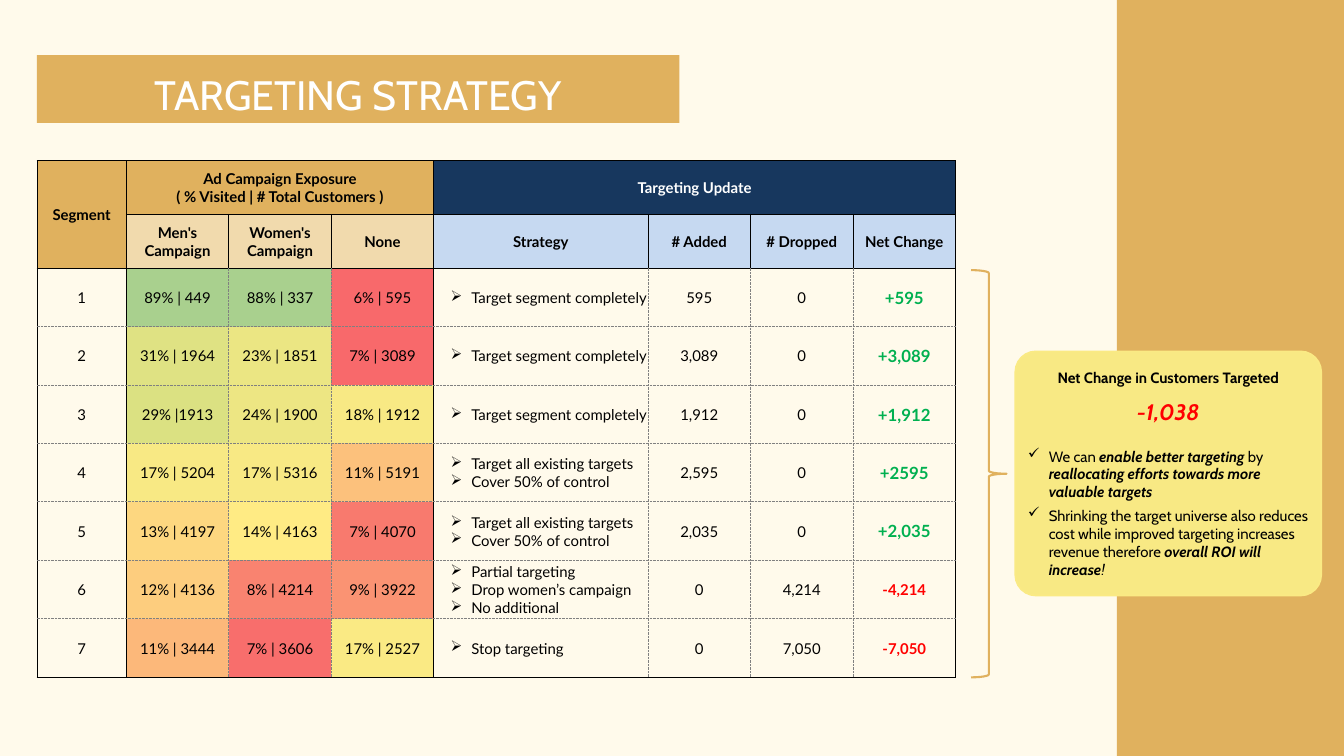
from collections import namedtuple

from lxml.etree import SubElement
from pptx import Presentation
from pptx.dml.color import RGBColor
from pptx.enum.shapes import MSO_SHAPE as Shape
from pptx.enum.text import MSO_ANCHOR as Anchor, MSO_AUTO_SIZE as AutoSize, PP_ALIGN as Align
from pptx.oxml import parse_xml
from pptx.oxml.ns import nsdecls, qn
from pptx.util import Inches, Pt

COLORS = {
    "cream": "FFFAEB", "gold": "E0B15E", "sand": "F1DAAD", "navy": "17375E",
    "sky": "C6D9F1", "yellow": "F8E984", "outline": "FAEA84", "white": "FFFFFF",
    "black": "000000", "gray": "808080", "gain": "00B050", "loss": "FF0000",
}
SLIDE_WIDTH, SLIDE_HEIGHT = Inches(20), Inches(11.25)
Box = namedtuple("Box", "left top width height")

# Segment, (text, heat colour) for each campaign, strategy, added, dropped, net change
SEGMENTS = [
    ("1", [("89% | 449", "A9D08E"), ("88% | 337", "A9D08E"), ("6% | 595", "F8696B")],
     ["Target segment completely"], "595", "0", "+595"),
    ("2", [("31% | 1964", "DFE283"), ("23% | 1851", "EBE683"), ("7% | 3089", "F8696B")],
     ["Target segment completely"], "3,089", "0", "+3,089"),
    ("3", [("29% |1913", "DBE182"), ("24% | 1900", "EDE683"), ("18% | 1912", "F8E984")],
     ["Target segment completely"], "1,912", "0", "+1,912"),
    ("4", [("17% | 5204", "F8E984"), ("17% | 5316", "F8E984"), ("11% | 5191", "FCC17C")],
     ["Target all existing targets", "Cover 50% of control"], "2,595", "0", "+2595"),
    ("5", [("13% | 4197", "FDD780"), ("14% | 4163", "FFEB84"), ("7% | 4070", "F87A6E")],
     ["Target all existing targets", "Cover 50% of control"], "2,035", "0", "+2,035"),
    ("6", [("12% | 4136", "FDCD7E"), ("8% | 4214", "F98370"), ("9% | 3922", "FA9373")],
     ["Partial targeting", "Drop women’s campaign", "No additional"], "0", "4,214", "-4,214"),
    ("7", [("11% | 3444", "FCB87A"), ("7% | 3606", "F86E6C"), ("17% | 2527", "FAEA84")],
     ["Stop targeting"], "0", "7,050", "-7,050"),
]


def percent_box(left, top, width, height):
    """Turn percentages of the slide's size into a box."""
    return Box(int(SLIDE_WIDTH * left / 100), int(SLIDE_HEIGHT * top / 100),
               int(SLIDE_WIDTH * width / 100), int(SLIDE_HEIGHT * height / 100))


def rgb(name):
    return RGBColor.from_string(COLORS.get(name, name))


def add_bullet(paragraph, character, margin, hanging):
    properties = paragraph._p.get_or_add_pPr()
    properties.set("marL", str(Inches(margin)))
    properties.set("indent", str(-Inches(hanging)))
    bullet_color = SubElement(properties, qn("a:buClr"))
    SubElement(bullet_color, qn("a:srgbClr")).set("val", COLORS["black"])
    SubElement(properties, qn("a:buChar")).set("char", character)


def write(frame, text, first=False, font="Lato", size=16, color="black", style="",
          align=Align.CENTER, after=None, line_spacing=None, bullet=None):
    """Write one paragraph; text is a string or a list of (text, style) runs."""
    paragraph = frame.paragraphs[0] if first else frame.add_paragraph()
    if bullet:
        add_bullet(paragraph, *bullet)
    paragraph.alignment = align
    if after is not None:
        paragraph.space_after = Pt(after)
    if line_spacing:
        paragraph.line_spacing = line_spacing
    for run_text, run_style in [(text, style)] if isinstance(text, str) else text:
        run = paragraph.add_run()
        run.text = run_text
        run.font.name, run.font.size = font, Pt(size)
        run.font.bold, run.font.italic = "b" in run_style, "i" in run_style
        run.font.color.rgb = rgb(color)


def add_shape(slide, kind, box, fill=None, line=None, line_width=1):
    shape = slide.shapes.add_shape(kind, *box)
    shape.shadow.inherit = False
    if fill:
        shape.fill.solid()
        shape.fill.fore_color.rgb = rgb(fill)
    else:
        shape.fill.background()
    if line:
        shape.line.color.rgb = rgb(line)
        shape.line.width = Pt(line_width)
    else:
        shape.line.fill.background()
    return shape


def add_title(slide, box):
    title = slide.shapes.title
    title.left, title.top, title.width, title.height = box
    title.fill.solid()
    title.fill.fore_color.rgb = rgb("gold")
    frame = title.text_frame
    frame.auto_size, frame.vertical_anchor = AutoSize.NONE, Anchor.MIDDLE
    frame.margin_left = frame.margin_right = Inches(0.06)
    frame.margin_top = frame.margin_bottom = Inches(0.06)
    write(frame, "TARGETING STRATEGY", first=True, font="Cabin", size=44,
          color="white", line_spacing=1.2)


def set_borders(cell, row, column):
    """Solid lines around headers and column groups, dotted lines inside them."""
    header = row < 2
    solid_sides = {"L": column in (0, 1, 4), "R": column in (0, 3, 7),
                   "T": row == 2, "B": row == len(SEGMENTS) + 1}
    properties = cell._tc.get_or_add_tcPr()
    for index, (side, solid) in enumerate(solid_sides.items()):
        color, dash = ("black", "solid") if header or solid else ("gray", "sysDot")
        properties.insert(index, parse_xml(
            f'<a:ln{side} {nsdecls("a")} w="{Pt(1)}"><a:solidFill>'
            f'<a:srgbClr val="{COLORS[color]}"/></a:solidFill>'
            f'<a:prstDash val="{dash}"/></a:ln{side}>'))


def fill_cell(cell, lines, fill=None, **text_format):
    cell.vertical_anchor = Anchor.MIDDLE
    cell.margin_left = cell.margin_right = cell.margin_top = Inches(0.01)
    cell.margin_bottom = 0
    if fill:
        cell.fill.solid()
        cell.fill.fore_color.rgb = rgb(fill)
    else:
        cell.fill.background()
    for index, line in enumerate(lines):
        write(cell.text_frame, line, first=index == 0, **text_format)


def add_segment_table(slide, box):
    row_count, column_count = len(SEGMENTS) + 2, 8
    table = slide.shapes.add_table(row_count, column_count, *box).table
    table.first_row = table.horz_banding = False

    # Column and row sizes
    segment_width, strategy_width = Inches(1.33), Inches(3.19)
    number_width = (box.width - segment_width - strategy_width) // 6
    for index, column in enumerate(table.columns):
        column.width = {0: segment_width, 4: strategy_width}.get(index, number_width)
    header_height = Inches(0.8)
    body_height = (box.height - 2 * header_height) // len(SEGMENTS)
    for index, row in enumerate(table.rows):
        row.height = header_height if index < 2 else body_height

    # Headers
    table.cell(0, 0).merge(table.cell(1, 0))
    table.cell(0, 1).merge(table.cell(0, 3))
    table.cell(0, 4).merge(table.cell(0, 7))
    fill_cell(table.cell(0, 0), ["Segment"], "gold", style="b")
    fill_cell(table.cell(0, 1), ["Ad Campaign Exposure", "( % Visited | # Total Customers )"],
              "gold", style="b")
    fill_cell(table.cell(0, 4), ["Targeting Update"], "navy", style="b", color="white")
    headings = ["Men's Campaign", "Women's Campaign", "None",
                "Strategy", "# Added", "# Dropped", "Net Change"]
    for column, heading in enumerate(headings, start=1):
        fill_cell(table.cell(1, column), [heading], "sand" if column < 4 else "sky", style="b")

    # One row for each segment
    for row, (segment, exposures, strategy, added, dropped, net) in enumerate(SEGMENTS, start=2):
        fill_cell(table.cell(row, 0), [segment])
        for column, (exposure, heat) in enumerate(exposures, start=1):
            fill_cell(table.cell(row, column), [exposure], heat)
        fill_cell(table.cell(row, 4), strategy, align=Align.LEFT, bullet=("➢", 0.55, 0.31))
        fill_cell(table.cell(row, 5), [added])
        fill_cell(table.cell(row, 6), [dropped])
        gain = net.startswith("+")
        fill_cell(table.cell(row, 7), [net], style="b", size=18 if gain else 16,
                  color="gain" if gain else "loss")

    for row in range(row_count):
        for column in range(column_count):
            set_borders(table.cell(row, column), row, column)


def add_callout(slide, box):
    callout = add_shape(slide, Shape.ROUNDED_RECTANGLE, box, "yellow", "outline", 2)
    callout.adjustments[0] = 0.084
    frame = callout.text_frame
    frame.word_wrap, frame.vertical_anchor = True, Anchor.MIDDLE
    write(frame, "Net Change in Customers Targeted", first=True, font="Cabin",
          style="b", after=12)
    write(frame, "-1,038", font="Cabin", size=24, color="loss", style="bi", after=24)
    points = [
        [("We can ", ""), ("enable better targeting ", "bi"), ("by ", ""),
         ("reallocating efforts towards more valuable targets", "bi")],
        [("Shrinking the target universe also reduces cost while improved targeting "
          "increases revenue therefore ", ""), ("overall ROI will increase", "bi"), ("!", "i")],
    ]
    for point, after in zip(points, (6, 0)):
        write(frame, point, font="Cabin", align=Align.LEFT, after=after,
              bullet=("✓", 0.31, 0.31))


def main():
    presentation = Presentation()
    presentation.slide_width, presentation.slide_height = SLIDE_WIDTH, SLIDE_HEIGHT
    slide = presentation.slides.add_slide(presentation.slide_layouts[5])
    slide.background.fill.solid()
    slide.background.fill.fore_color.rgb = rgb("cream")

    # Side band, title, table, then the brace leading to the callout
    add_shape(slide, Shape.RECTANGLE, percent_box(83.1, 0, 16.9, 100), "gold")
    add_title(slide, percent_box(2.75, 7.29, 47.8, 8.98))
    add_segment_table(slide, percent_box(2.75, 21.24, 68.35, 68.36))
    add_shape(slide, Shape.RIGHT_BRACE, percent_box(72.25, 35.73, 2.65, 53.87),
              line="gold", line_width=2.25)
    add_callout(slide, percent_box(75.55, 46.49, 22.75, 32.27))
    presentation.save("out.pptx")


if __name__ == "__main__":
    main()
